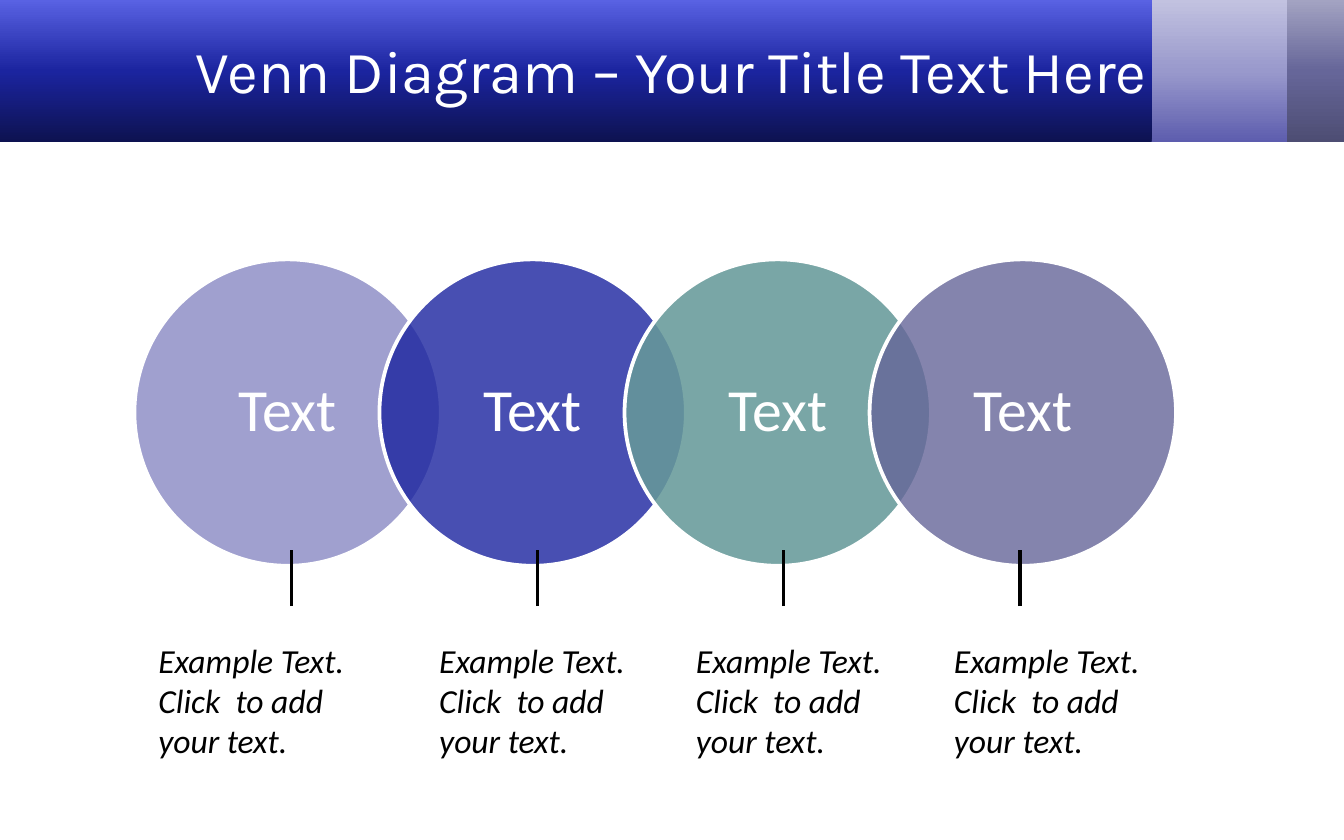
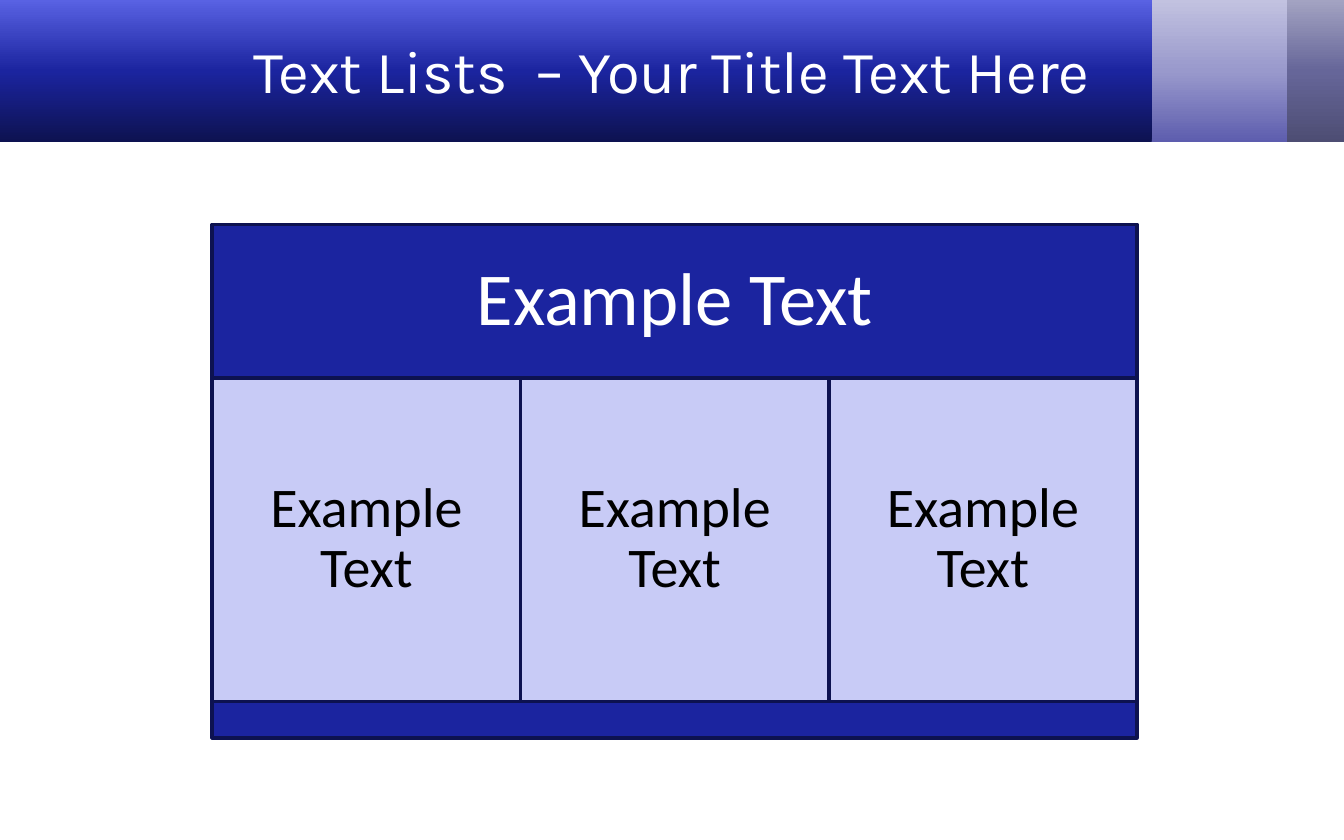
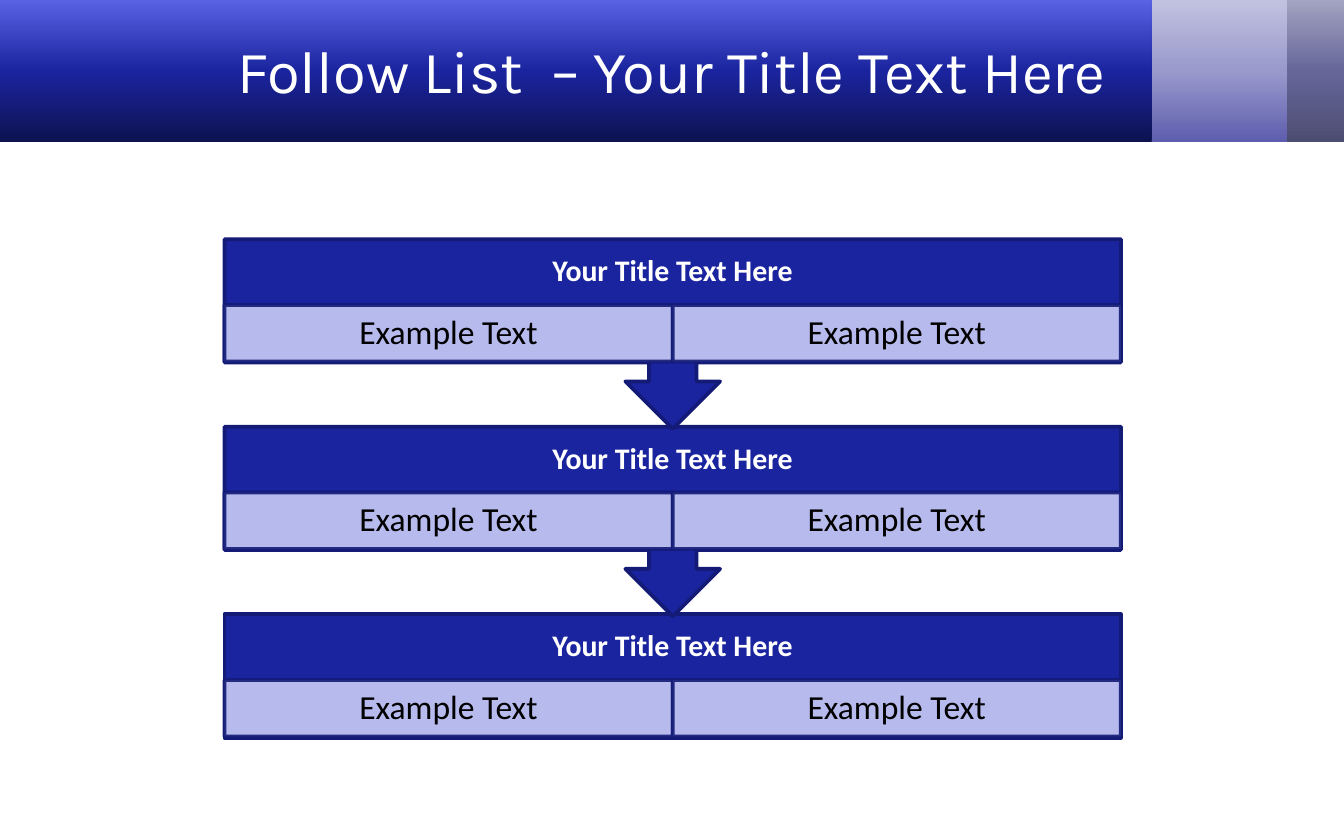
import copy
import dataclasses

import pptx
import pptx.dml.color
import pptx.enum.shapes
import pptx.enum.text
import pptx.oxml
import pptx.oxml.ns
import pptx.util

Inches = pptx.util.Inches
Pt = pptx.util.Pt
SHAPE = pptx.enum.shapes.MSO_SHAPE
ALIGN = pptx.enum.text.PP_ALIGN
ANCHOR = pptx.enum.text.MSO_ANCHOR
FIT = pptx.enum.text.MSO_AUTO_SIZE
qn = pptx.oxml.ns.qn


@dataclasses.dataclass(frozen=True)
class Theme:
    white: str = "FFFFFF"
    black: str = "000000"
    blue: str = "1B249F"
    navy: str = "0D1250"
    edge: str = "141B77"
    pale: str = "C8CBF6"
    circles: tuple = (("9999CC", 93), ("1B249F", 80), ("669999", 87), ("666699", 80))
    bands: tuple = (
        (0, 8.57, ("0D1250", "1B249F", "5962E3")),
        (8.53, 1.05, ("5D5DAE", "9999CC", "C2C2E0")),
        (9.43, 0.58, ("4D4D73", "666699", "A3A3C2")),
    )
    band_height: float = 1.06
    title_font: str = "Karla"
    body_font: str = "Calibri"
    title_size: int = 32
    circle_size: int = 32
    header_size: int = 40
    column_size: int = 30
    step_size: int = 16
    body_size: int = 18
    line_width: int = 2


@dataclasses.dataclass(frozen=True)
class Box:
    left: float
    top: float
    width: float
    height: float

    def inner(self, left, top, width, height):
        return Box(self.left + left, self.top + top, width, height)

    def lengths(self):
        return [Inches(value) for value in dataclasses.astuple(self)]


THEME = Theme()


def rgb(color):
    return pptx.dml.color.RGBColor.from_string(color)


def apply(target, values):
    for name, value in values.items():
        setattr(target, name, value)


def write(frame, text, size, color, font=THEME.body_font, align=ALIGN.CENTER,
          anchor=ANCHOR.MIDDLE, spacing=0.9, inset=(0.1, 0.05), fit=FIT.NONE, **style):
    across, down = (Inches(value) for value in inset)
    frame.text = text
    apply(frame, {
        "word_wrap": True, "auto_size": fit, "vertical_anchor": anchor,
        "margin_left": across, "margin_right": across,
        "margin_top": down, "margin_bottom": down,
    })
    for paragraph in frame.paragraphs:
        apply(paragraph, {"alignment": align, "line_spacing": spacing})
        for run in paragraph.runs:
            apply(run.font, {"name": font, "size": Pt(size), **style})
            run.font.color.rgb = rgb(color)


def set_opacity(shape, percent):
    for color in shape._element.spPr.iter(qn("a:srgbClr")):
        alpha = pptx.oxml.parse_xml(
            f'<a:alpha {pptx.oxml.ns.nsdecls("a")} val="{percent * 1000}"/>')
        color.append(alpha)


def add_panel(slide, kind, box, fill, line, opacity=100, line_opacity=100):
    panel = slide.shapes.add_shape(kind, *box.lengths())
    panel.shadow.inherit = False
    panel.fill.solid()
    panel.fill.fore_color.rgb = rgb(fill)
    if opacity != line_opacity:
        set_opacity(panel, opacity)
    panel.line.color.rgb = rgb(line)
    panel.line.width = Pt(THEME.line_width)
    if opacity == line_opacity < 100:
        set_opacity(panel, opacity)
    return panel


def add_bands(slide, layout):
    for left, width, colors in THEME.bands:
        box = Box(left, 0, width, THEME.band_height)
        band = slide.shapes.add_shape(SHAPE.RECTANGLE, *box.lengths())
        band.shadow.inherit = False
        band.line.fill.background()
        band.fill.gradient()
        band.fill.gradient_angle = 90
        stops = band._element.spPr.find(".//" + qn("a:gsLst"))
        stops.append(copy.deepcopy(stops[0]))
        for stop, position, color in zip(band.fill.gradient_stops, (0, 0.5, 1), colors):
            stop.position = position
            stop.color.rgb = rgb(color)
        layout.shapes._spTree.insert(2, band._element)


def add_titled_slide(deck, layout, text):
    slide = deck.slides.add_slide(layout)
    title = slide.shapes.title
    apply(title, dict(zip(("left", "top", "width", "height"),
                          Box(0.5, 0.08, 9, 0.88).lengths())))
    write(title.text_frame, text, THEME.title_size, THEME.white,
          font=THEME.title_font, spacing=1.0)
    return slide


def add_venn(slide, box):
    diameter = box.height
    step = (box.width - diameter) / (len(THEME.circles) - 1)
    for index, (color, opacity) in enumerate(THEME.circles):
        circle = add_panel(slide, SHAPE.OVAL, box.inner(index * step, 0, diameter, diameter),
                           color, THEME.white, opacity)
        write(circle.text_frame, "Text", THEME.circle_size, THEME.white, inset=(0.13, 0.04))


def add_captions(slide, box, caption_lefts, pointer_lefts):
    for left in caption_lefts:
        caption = slide.shapes.add_textbox(*box.inner(left, 0.62, 1.83, 1.01).lengths())
        write(caption.text_frame, "Example Text.\nClick  to add your text.",
              THEME.body_size, THEME.black, align=ALIGN.LEFT, anchor=ANCHOR.TOP,
              spacing=1.0, fit=FIT.SHAPE_TO_FIT_TEXT, italic=True)
    for left in pointer_lefts:
        x = Inches(box.left + left)
        pointer = slide.shapes.add_connector(
            pptx.enum.shapes.MSO_CONNECTOR.STRAIGHT,
            x, Inches(box.top + 0.42), x, Inches(box.top))
        pointer.line.color.rgb = rgb(THEME.black)
        pointer.line.width = Pt(THEME.line_width)
        pointer._element.spPr.append(
            pptx.oxml.parse_xml(f'<a:effectLst {pptx.oxml.ns.nsdecls("a")}/>'))


def add_text_list(slide, box, columns):
    header_height, footer_height = 1.14, 0.27
    column_width = box.width / columns
    column_height = box.height - header_height - footer_height
    header = add_panel(slide, SHAPE.RECTANGLE, box.inner(0, 0, box.width, header_height),
                       THEME.blue, THEME.navy)
    write(header.text_frame, "Example Text", THEME.header_size, THEME.white, inset=(0.17, 0.17))
    for index in range(columns):
        column = add_panel(
            slide, SHAPE.RECTANGLE,
            box.inner(index * column_width, header_height, column_width, column_height),
            THEME.pale, THEME.navy)
        write(column.text_frame, "Example Text", THEME.column_size, THEME.black,
              inset=(0.12, 0.12))
    add_panel(slide, SHAPE.RECTANGLE,
              box.inner(0, box.height - footer_height, box.width, footer_height),
              THEME.blue, THEME.navy)


def add_step(slide, box, last):
    kind = SHAPE.RECTANGLE if last else SHAPE.UP_ARROW_CALLOUT
    height = box.height if last else 1.41
    body = add_panel(slide, kind, box.inner(0, 0, box.width, height), THEME.blue, THEME.edge)
    body.rotation = 0 if last else 180
    heading = slide.shapes.add_textbox(*box.inner(0, 0, box.width, 0.49).lengths())
    write(heading.text_frame, "Your Title Text Here", THEME.step_size, THEME.white,
          inset=(0.12, 0.12), bold=True)
    half = box.width / 2
    for index in range(2):
        detail = add_panel(slide, SHAPE.RECTANGLE, box.inner(index * half, 0.49, half, 0.42),
                           THEME.pale, THEME.edge, opacity=90, line_opacity=90)
        write(detail.text_frame, "Example Text", THEME.body_size, THEME.black,
              inset=(0.14, 0.03))


def add_follow_list(slide, box, steps):
    step_height = 0.92
    pitch = (box.height - step_height) / (steps - 1)
    for index in reversed(range(steps)):
        add_step(slide, box.inner(0, index * pitch, box.width, step_height),
                 last=index == steps - 1)


def main():
    deck = pptx.Presentation()
    deck.slide_width, deck.slide_height = Inches(10), Inches(6.25)
    layout = deck.slide_layouts[5]

    venn = add_titled_slide(deck, layout, "Venn Diagram – Your Title Text Here")
    add_bands(venn, layout)
    add_venn(venn, Box(1, 1.93, 7.75, 2.28))
    add_captions(venn, Box(1, 4.09, 7.83, 1.63),
                 (0.08, 2.17, 4.08, 6), (1.17, 3, 4.83, 6.59))

    text_list = add_titled_slide(deck, layout, "Text Lists  – Your Title Text Here")
    add_text_list(text_list, Box(1.58, 1.67, 6.88, 3.82), columns=3)

    follow_list = add_titled_slide(deck, layout, "Follow List  – Your Title Text Here")
    add_follow_list(follow_list, Box(1.67, 1.78, 6.67, 3.71), steps=3)

    deck.save("out.pptx")


if __name__ == "__main__":
    main()
